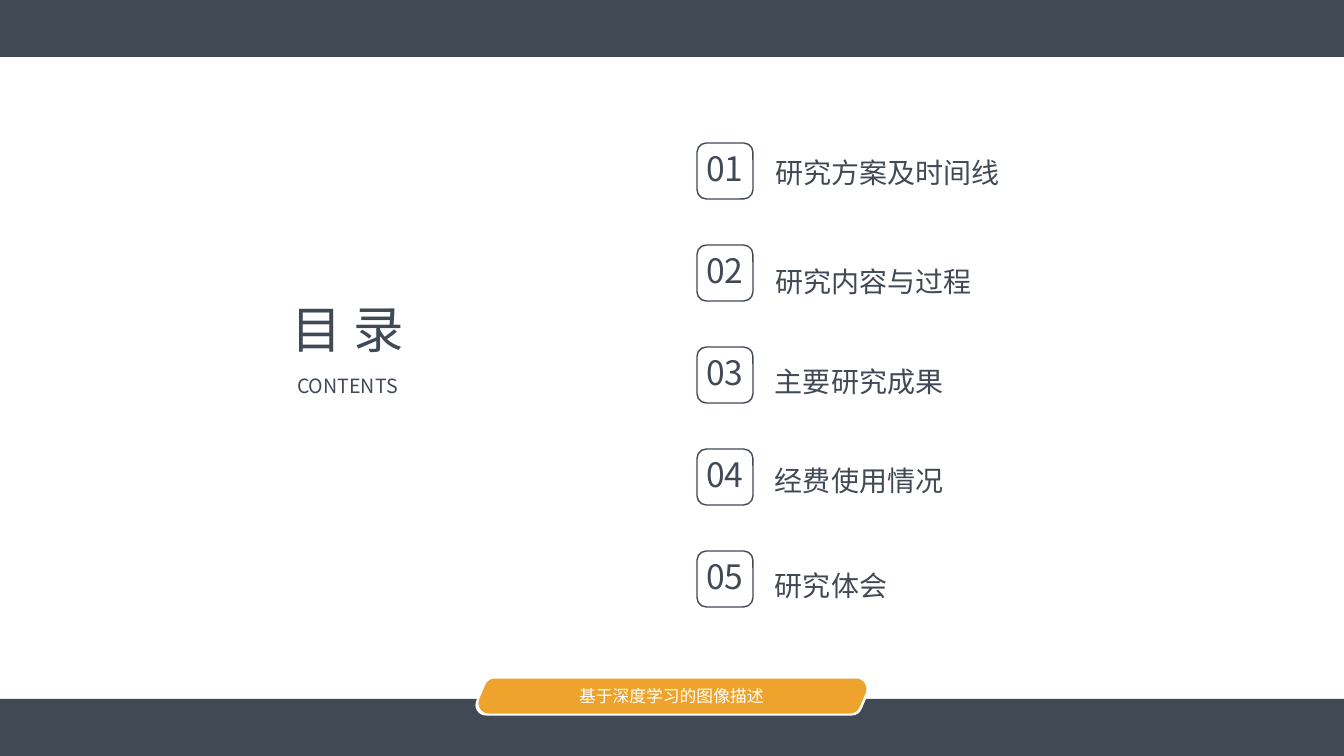
from dataclasses import dataclass

from lxml.etree import SubElement
from pptx import Presentation
from pptx.dml.color import RGBColor as Rgb
from pptx.enum.shapes import MSO_SHAPE as Shape
from pptx.enum.text import MSO_ANCHOR as Anchor, MSO_AUTO_SIZE as Fit, PP_ALIGN as Align
from pptx.oxml.ns import qn
from pptx.util import Emu, Pt


@dataclass(frozen=True)
class Theme:
    """Colours, typeface and type sizes of the deck."""
    slate: Rgb = Rgb.from_string("414955")
    amber: Rgb = Rgb.from_string("EDA32C")
    white: Rgb = Rgb.from_string("FFFFFF")
    typeface: str = "Noto Sans CJK SC"
    heading: int = 36
    number: int = 24
    topic: int = 20
    subheading: int = 14
    footer: int = 12


THEME = Theme()
WIDTH, HEIGHT = 1344, 756
BAND_HEIGHT = 57
BADGE_SIZE, BADGE_PITCH = 56, 102
TOPICS = [
    ("研究方案及时间线", 7, 361, 44, 1),
    ("研究内容与过程", 91, 341, 69, 1.75),
    ("主要研究成果", 191, 419, 69, 1.75),
    ("经费使用情况", 290, 389, 69, 1.75),
    ("研究体会", 395, 389, 69, 1.75),
]


def px(length):
    """Turn a length in px into EMU."""
    return Emu(round(length * 12192000 / WIDTH))


def write(holder, words, size, color=THEME.slate, align=Align.LEFT, spacing=None,
          anchor=Anchor.TOP):
    """Put one formatted line of text into a shape."""
    frame = holder.text_frame
    frame.text = words
    margins = {"margin_left": px(10), "margin_right": px(10),
               "margin_top": px(5), "margin_bottom": px(5)}
    frame_format = {"word_wrap": True, "auto_size": Fit.SHAPE_TO_FIT_TEXT,
                    "vertical_anchor": anchor, **margins}
    for key, value in frame_format.items():
        setattr(frame, key, value)
    line = frame.paragraphs[0]
    line.alignment = align
    if spacing:
        line.line_spacing = spacing
    font = line.runs[0].font
    for key, value in {"size": Pt(size), "name": THEME.typeface}.items():
        setattr(font, key, value)
    font.color.rgb = color
    SubElement(line.runs[0]._r.get_or_add_rPr(), qn("a:ea"), typeface=THEME.typeface)


def add_label(slide, box, words, size, **style):
    """Add a text box at the given box."""
    write(slide.shapes.add_textbox(*map(px, box)), words, size, **style)


def add_figure(slide, kind, box, fill=None, outline=None, weight=1):
    """Add a preset shape without shadow."""
    figure = slide.shapes.add_shape(kind, *map(px, box))
    figure.shadow.inherit = False
    if fill is None:
        figure.fill.background()
    else:
        figure.fill.solid()
        figure.fill.fore_color.rgb = fill
    if outline is None:
        figure.line.fill.background()
    else:
        figure.line.color.rgb = outline
        figure.line.width = Pt(weight)
        SubElement(figure.line._get_or_add_ln(), qn("a:round"))
    return figure


def add_bands(slide):
    """Draw the dark bands along the top and bottom edges."""
    for top in (0, HEIGHT - BAND_HEIGHT):
        add_figure(slide, Shape.RECTANGLE, (0, top, WIDTH, BAND_HEIGHT), THEME.slate)


def add_footer_tab(slide, left, top, width, height):
    """Draw the slanted tab with the project name."""
    layers = [((left - 3, top + 2, width + 5, height), THEME.white),
              ((left, top, width, height), THEME.amber)]
    for box, color in layers:
        layer = add_figure(slide, Shape.PARALLELOGRAM, box, color, color, 15)
        layer.adjustments[0] = 0.43
    project = add_figure(slide, Shape.ROUNDED_RECTANGLE,
                         (left + 40, top - 10, 285, 33))
    write(project, "基于深度学习的图像描述", THEME.footer, THEME.white,
          Align.CENTER, anchor=Anchor.MIDDLE)


def add_heading(slide, left, top, width, height):
    """Place the title and its English subtitle."""
    title = slide.shapes.title
    box = {"left": left, "top": top, "width": width, "height": height}
    for key, value in box.items():
        setattr(title, key, px(value))
    write(title, "目 录", THEME.heading, align=Align.JUSTIFY)
    add_label(slide, (left + 5, top + 76, 144, 34), "CONTENTS",
              THEME.subheading, align=Align.JUSTIFY)


def add_agenda(slide, left, top):
    """List the numbered topics downwards."""
    for index, (topic, offset, width, height, spacing) in enumerate(TOPICS):
        badge_top = top + index * BADGE_PITCH
        add_label(slide, (left + 68, top + offset, width, height), topic,
                  THEME.topic, spacing=spacing)
        add_figure(slide, Shape.ROUNDED_RECTANGLE,
                   (left, badge_top, BADGE_SIZE, BADGE_SIZE), outline=THEME.slate)
        add_label(slide, (left - 12, badge_top, 80, 50), f"{index + 1:02}",
                  THEME.number, align=Align.CENTER)


def add_contents_slide(deck):
    """Build the contents slide."""
    slide = deck.slides.add_slide(deck.slide_layouts[5])
    add_bands(slide)
    add_footer_tab(slide, 489, 689, 367, 14)
    add_heading(slide, 282, 293, 156, 72)
    add_agenda(slide, 697, 143)


def main():
    """Create the deck and save it."""
    deck = Presentation()
    deck.slide_width, deck.slide_height = px(WIDTH), px(HEIGHT)
    add_contents_slide(deck)
    deck.save("out.pptx")


if __name__ == "__main__":
    main()
